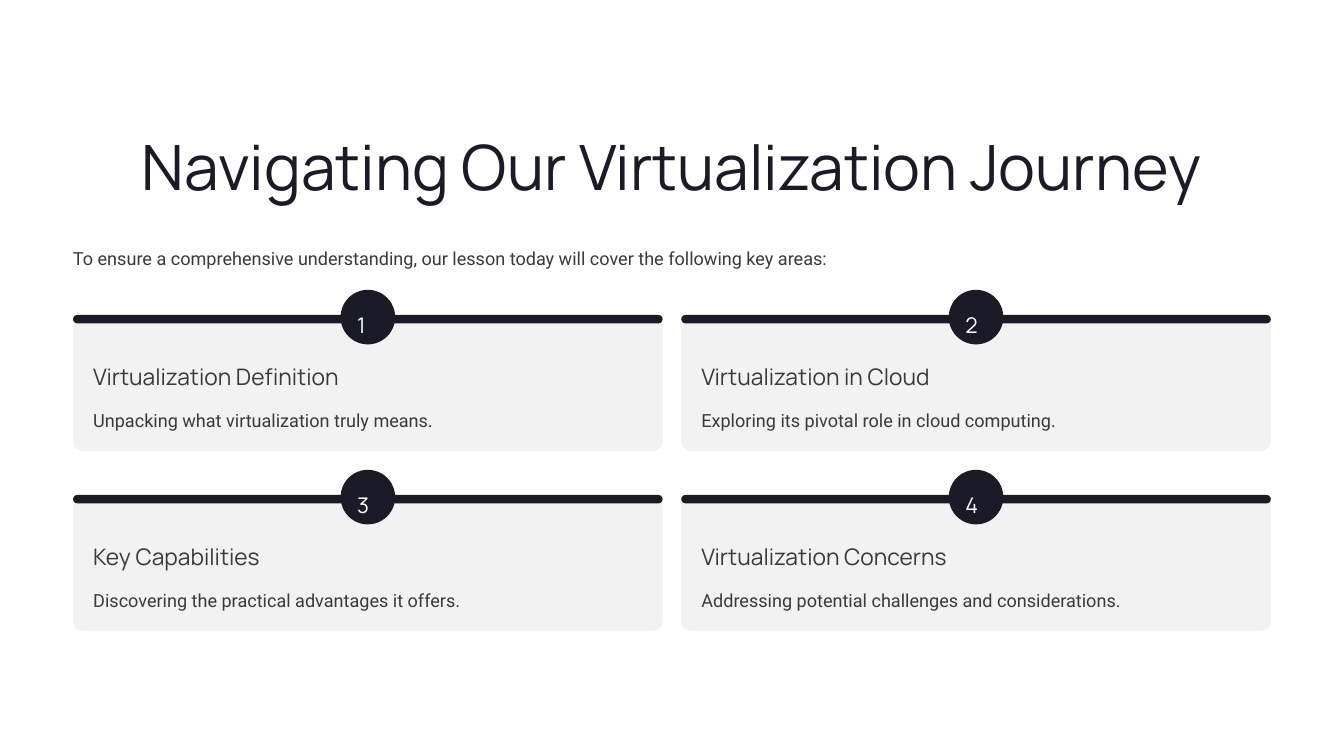
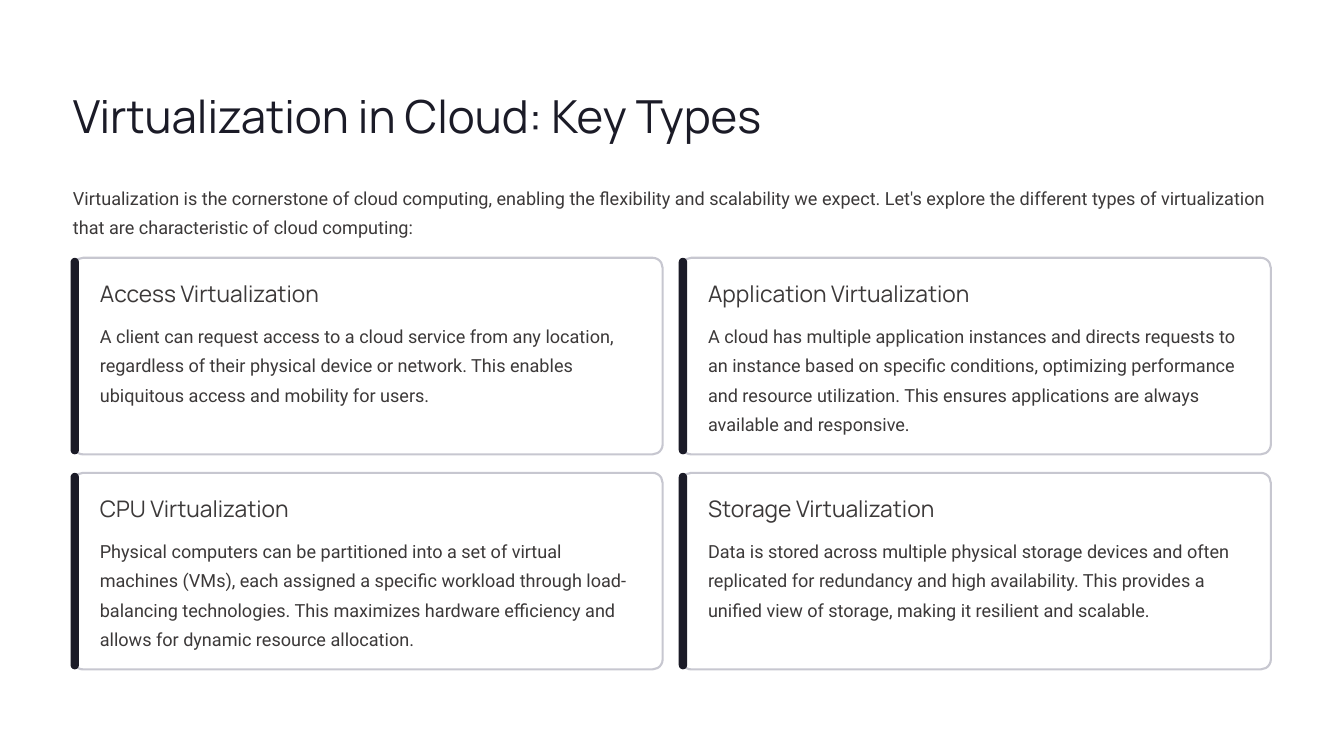
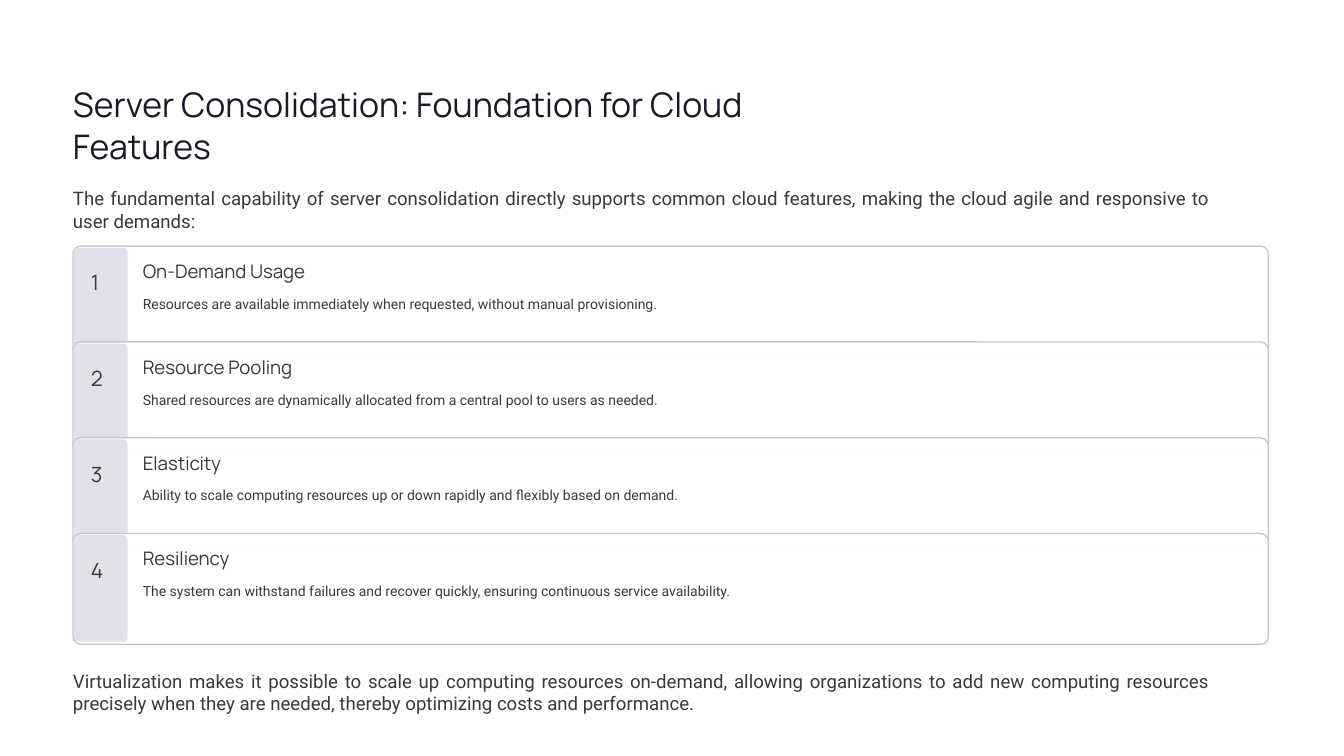
from dataclasses import dataclass

from lxml.etree import SubElement
from pptx import Presentation
from pptx.dml.color import RGBColor
from pptx.enum.shapes import MSO_SHAPE as Shape
from pptx.enum.text import MSO_ANCHOR as Anchor, PP_ALIGN as Align
from pptx.oxml.ns import qn
from pptx.util import Pt

INK, BODY, WHITE = "1B1B27", "3C3939", "FFFFFF"
PANEL, OUTLINE, TAB = "F2F2F2", "C7C7D0", "E1E1EA"
HEAD_FONT, BODY_FONT = "Manrope", "Roboto"

MARGIN, CONTENT_W = 62.6, 1026.7
CARD_W, CARD_GAP = 505.4, 15.9
HEADING_W, HEADING_H = 240, 24.5
BAR = 7.2
OPACITY = 95


@dataclass(frozen=True)
class TextStyle:
    """Look of one kind of text."""

    size: float
    font: str = BODY_FONT
    color: str = BODY
    leading: float | None = None
    align: Align = Align.LEFT


HERO = TextStyle(53.5, HEAD_FONT, INK, 67, Align.CENTER)
TITLE = TextStyle(39, HEAD_FONT, INK, 48.5)
LONG_TITLE = TextStyle(29, HEAD_FONT, INK, 36.5)
TEXT = TextStyle(15.5, leading=25)
CARD_HEADING = TextStyle(19.5, HEAD_FONT, leading=24)
BADGE = TextStyle(18.5, HEAD_FONT, WHITE, 30)
JUSTIFIED = TextStyle(16, align=Align.JUSTIFY)
ROW_NUMBER = TextStyle(18, HEAD_FONT, leading=17.5)
ROW_HEADING = TextStyle(16, HEAD_FONT, leading=18)
ROW_TEXT = TextStyle(12, leading=18.5)


def rgb(hex_color):
    """Turn a hex string into a colour."""
    return RGBColor.from_string(hex_color)


def card_grid(top, pitch, items):
    """Yield left, top and content of cards in two columns."""
    for index, item in enumerate(items):
        row, column = divmod(index, 2)
        yield MARGIN + column * (CARD_W + CARD_GAP), top + row * pitch, item


class Deck:
    """Presentation with its shared style and current slide."""

    def __init__(self):
        """Start an empty 16 by 9 inch presentation."""
        self.prs = Presentation()
        self.prs.slide_width, self.prs.slide_height = Pt(1152), Pt(648)
        self.slide = None

    def new_slide(self):
        """Add a blank slide and make it current."""
        self.slide = self.prs.slides.add_slide(self.prs.slide_layouts[6])

    def text(self, left, top, width, height, words, style, wrap=False):
        """Add one paragraph of text."""
        box = self.slide.shapes.add_textbox(Pt(left), Pt(top), Pt(width), Pt(height))
        frame = box.text_frame
        frame.word_wrap = wrap
        frame.vertical_anchor = Anchor.TOP
        frame.margin_left = frame.margin_right = 0
        frame.margin_top = frame.margin_bottom = 0
        paragraph = frame.paragraphs[0]
        paragraph.alignment = style.align
        if style.leading:
            paragraph.line_spacing = Pt(style.leading)
        run = paragraph.add_run()
        run.text = words
        run.font.size = Pt(style.size)
        run.font.name = style.font
        run.font.color.rgb = rgb(style.color)

    def block(self, left, top, width, height, fill, corner=0.5, opacity=100, line=None):
        """Add a rounded rectangle, with an outline of the given width if any."""
        block = self.slide.shapes.add_shape(
            Shape.ROUNDED_RECTANGLE, Pt(left), Pt(top), Pt(width), Pt(height)
        )
        block.shadow.inherit = False
        block.adjustments[0] = corner
        block.fill.solid()
        block.fill.fore_color.rgb = rgb(fill)
        if opacity < 100:
            color = block.element.spPr.find(qn("a:solidFill")).find(qn("a:srgbClr"))
            SubElement(color, qn("a:alpha")).set("val", str(opacity * 1000))
        if line:
            block.line.color.rgb = rgb(OUTLINE)
            block.line.width = Pt(line)
        else:
            block.line.fill.background()

    def numbered_card(self, left, top, number, heading, words):
        """Add a grey card with a top bar and a number badge."""
        badge = 46.8
        badge_left = left + (CARD_W - badge) / 2
        self.block(left, top, CARD_W, 115.2, PANEL, 0.075, OPACITY)
        self.block(left, top - 1.4, CARD_W, BAR, INK)
        self.block(badge_left, top - 23, badge, badge, INK)
        self.text(badge_left + 14.2, top - 11.5, 18.7, 23.8, str(number), BADGE)
        self.text(left + 17.3, top + 39, HEADING_W, HEADING_H, heading, CARD_HEADING)
        self.text(left + 17.3, top + 73, 471, 25, words, TEXT)

    def outlined_card(self, left, top, heading, words):
        """Add a white card with a dark bar on its left edge."""
        height = 168.5
        self.block(left, top, CARD_W, height, WHITE, 0.051, OPACITY, 1.8)
        self.block(left - 2.1, top, BAR, height, INK)
        self.text(left + 23, top + 18, HEADING_W, HEADING_H, heading, CARD_HEADING)
        self.text(left + 23, top + 51.8, 465.1, 100, words, TEXT, wrap=True)

    def numbered_row(self, top, number, heading, words):
        """Add a full-width row with a number tab."""
        self.block(MARGIN, top, 1024.6, 95, WHITE, 0.07, OPACITY, 1.2)
        self.block(MARGIN + 0.8, top + 1.4, 46, 91.4, TAB, 0.074)
        self.text(MARGIN + 15.2, top + 24.4, 30.2, 29.5, str(number), ROW_NUMBER)
        self.text(MARGIN + 59.8, top + 13, 252, HEADING_H, heading, ROW_HEADING)
        self.text(MARGIN + 59.8, top + 38.1, 919.4, 25.2, words, ROW_TEXT)


def journey_slide(deck):
    """Build the agenda slide."""
    topics = [
        ("Virtualization Definition", "Unpacking what virtualization truly means."),
        ("Virtualization in Cloud", "Exploring its pivotal role in cloud computing."),
        ("Key Capabilities", "Discovering the practical advantages it offers."),
        ("Virtualization Concerns", "Addressing potential challenges and considerations."),
    ]
    deck.new_slide()
    deck.text(117, 106.6, 918, 67.7, "Navigating Our Virtualization Journey", HERO)
    deck.text(
        MARGIN, 205.4, CONTENT_W, 25,
        "To ensure a comprehensive understanding, our lesson today will cover "
        "the following key areas:",
        TEXT,
    )
    for left, top, (number, topic) in card_grid(271.4, 154.3, enumerate(topics, 1)):
        deck.numbered_card(left, top, number, *topic)


def types_slide(deck):
    """Build the slide on the types of virtualization."""
    types = [
        ("Access Virtualization",
         "A client can request access to a cloud service from any location, "
         "regardless of their physical device or network. This enables "
         "ubiquitous access and mobility for users."),
        ("Application Virtualization",
         "A cloud has multiple application instances and directs requests to "
         "an instance based on specific conditions, optimizing performance "
         "and resource utilization. This ensures applications are always "
         "available and responsive."),
        ("CPU Virtualization",
         "Physical computers can be partitioned into a set of virtual "
         "machines (VMs), each assigned a specific workload through "
         "load-balancing technologies. This maximizes hardware efficiency and "
         "allows for dynamic resource allocation."),
        ("Storage Virtualization",
         "Data is stored across multiple physical storage devices and often "
         "replicated for redundancy and high availability. This provides a "
         "unified view of storage, making it resilient and scalable."),
    ]
    deck.new_slide()
    deck.text(MARGIN, 73.4, 593.3, 49, "Virtualization in Cloud: Key Types", TITLE)
    deck.text(
        MARGIN, 153.9, CONTENT_W, 49.7,
        "Virtualization is the cornerstone of cloud computing, enabling the "
        "flexibility and scalability we expect. Let's explore the different types "
        "of virtualization that are characteristic of cloud computing:",
        TEXT, wrap=True,
    )
    for left, top, kind in card_grid(221, 184.3, types):
        deck.outlined_card(left, top, *kind)


def consolidation_slide(deck):
    """Build the slide on server consolidation."""
    features = [
        ("On-Demand Usage",
         "Resources are available immediately when requested, without manual "
         "provisioning."),
        ("Resource Pooling",
         "Shared resources are dynamically allocated from a central pool to "
         "users as needed."),
        ("Elasticity",
         "Ability to scale computing resources up or down rapidly and flexibly "
         "based on demand."),
        ("Resiliency",
         "The system can withstand failures and recover quickly, ensuring "
         "continuous service availability."),
    ]
    paragraphs = [
        (160.4,
         "The fundamental capability of server consolidation directly supports "
         "common cloud features, making the cloud agile and responsive to user "
         "demands:"),
        (573.8,
         "Virtualization makes it possible to scale up computing resources "
         "on-demand, allowing organizations to add new computing resources "
         "precisely when they are needed, thereby optimizing costs and "
         "performance."),
    ]
    deck.new_slide()
    deck.text(
        MARGIN, 69.8, 594.7, 73.4,
        "Server Consolidation: Foundation for Cloud Features", LONG_TITLE, wrap=True,
    )
    for index, feature in enumerate(features):
        deck.numbered_row(211 + index * 82.1, index + 1, *feature)
    for top, words in paragraphs:
        deck.text(MARGIN, top, 974.2, 37.4, words, JUSTIFIED, wrap=True)


def main():
    """Build and save the presentation."""
    deck = Deck()
    journey_slide(deck)
    types_slide(deck)
    consolidation_slide(deck)
    deck.prs.save("out.pptx")


if __name__ == "__main__":
    main()
